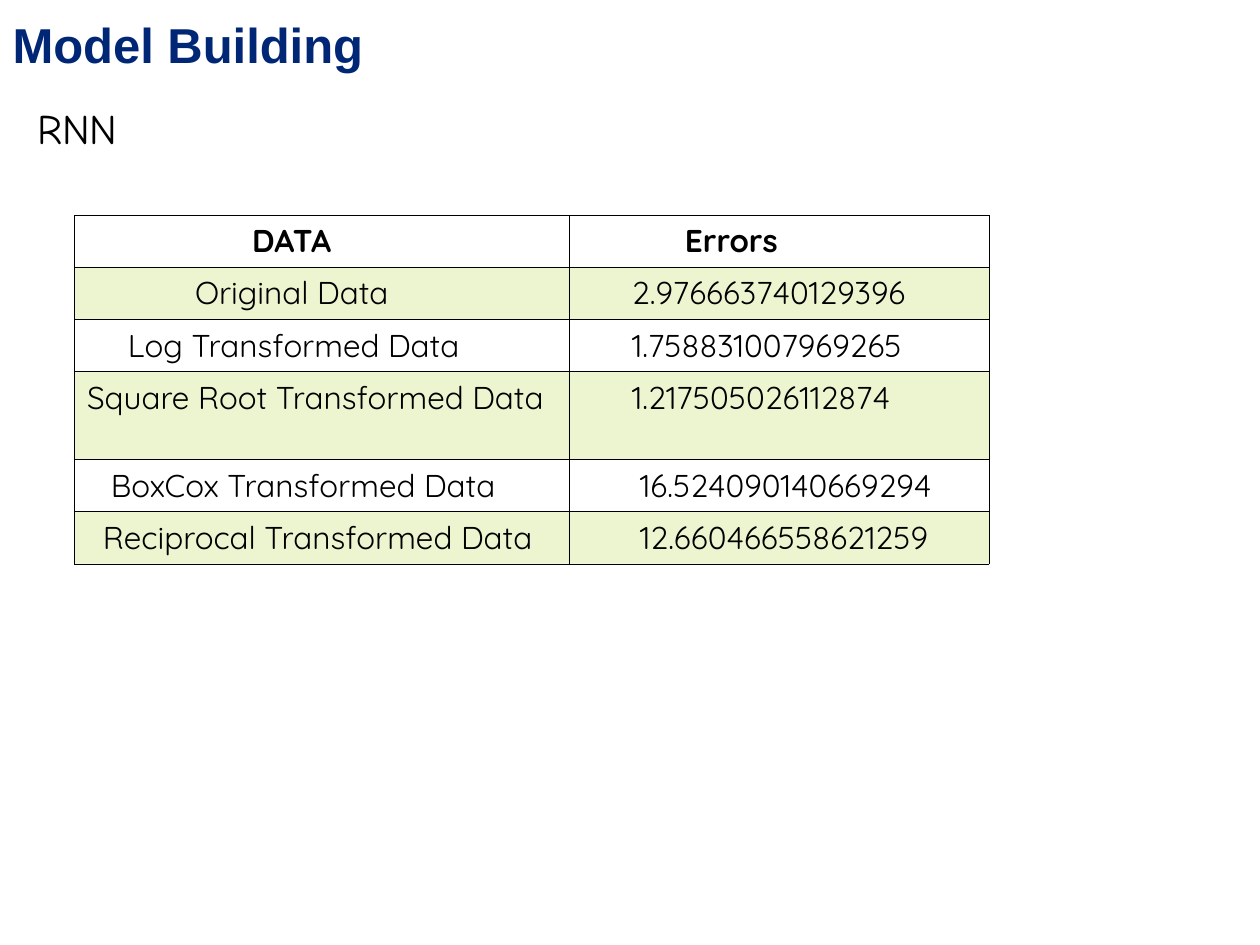
"""Build the Model Building slide with a table of RNN errors by data transformation."""
from lxml import etree
from pptx import Presentation
from pptx.dml.color import RGBColor
from pptx.enum.text import MSO_ANCHOR, MSO_AUTO_SIZE, PP_ALIGN
from pptx.oxml.ns import qn
from pptx.util import Pt

SCALE = 914400 / 126
NAVY = RGBColor(0x00, 0x27, 0x76)
BLACK = RGBColor(0x00, 0x00, 0x00)
LIME = RGBColor(0xA2, 0xC8, 0x16)
TOP = MSO_ANCHOR.TOP
NO_AUTOFIT = MSO_AUTO_SIZE.NONE
LEFT = PP_ALIGN.LEFT


def px(length):
    return round(length * SCALE)


def write(frame, text, font_name, size, color, bold=False):
    paragraph = frame.paragraphs[0]
    paragraph.alignment = LEFT
    run = paragraph.add_run()
    run.text = text
    run.font.name = font_name
    run.font.size = Pt(size)
    run.font.bold = bold
    run.font.color.rgb = color


presentation = Presentation()
presentation.slide_width = px(1260)
presentation.slide_height = px(945)
slide = presentation.slides.add_slide(presentation.slide_layouts[5])

title = slide.shapes.title
title.left, title.top, title.width, title.height = px(0), px(8), px(451), px(72)
subtitle = slide.shapes.add_textbox(px(25), px(96), px(129), px(63))
for shape in (title, subtitle):
    shape.text_frame.word_wrap = True
    shape.text_frame.auto_size = NO_AUTOFIT
    shape.text_frame.vertical_anchor = TOP
write(title.text_frame, "Model Building", "Arial", 28, NAVY, True)
write(subtitle.text_frame, "RNN", "Comic Neue", 24, BLACK)

rows = [
    (("DATA", 178), ("Errors", 116)),
    (("Original Data", 121), ("2.976663740129396", 63)),
    (("Log Transformed Data", 54), ("1.758831007969265", 63)),
    (("Square Root Transformed Data", 13), ("1.217505026112874", 63)),
    (("BoxCox Transformed Data", 37), ("16.524090140669294", 71)),
    (("Reciprocal Transformed Data", 29), ("12.660466558621259", 71)),
]
column_widths = [495, 420]
row_heights = [51, 51, 51, 88, 51, 51]

table = slide.shapes.add_table(
    len(rows), len(column_widths), px(74), px(215),
    px(sum(column_widths)), px(sum(row_heights))).table
table.first_row = False
table.horz_banding = False
for column, width in zip(table.columns, column_widths):
    column.width = px(width)

for row_index, (row, height) in enumerate(zip(rows, row_heights)):
    table.rows[row_index].height = px(height)
    for column_index, (text, indent) in enumerate(row):
        cell = table.cell(row_index, column_index)
        cell.margin_left = px(indent)
        write(cell.text_frame, text, "Quicksand", 18, BLACK, row_index == 0)
        properties = cell._tc.get_or_add_tcPr()
        for side in ("a:lnL", "a:lnR", "a:lnT", "a:lnB"):
            line = etree.SubElement(properties, qn(side), w=str(Pt(0.11)))
            line_fill = etree.SubElement(line, qn("a:solidFill"))
            etree.SubElement(line_fill, qn("a:srgbClr"), val=str(BLACK))
        if row_index % 2:
            cell.fill.solid()
            cell.fill.fore_color.rgb = LIME
            color = properties.find(qn("a:solidFill")).find(qn("a:srgbClr"))
            etree.SubElement(color, qn("a:alpha"), val="20000")
        else:
            cell.fill.background()

presentation.save("out.pptx")
